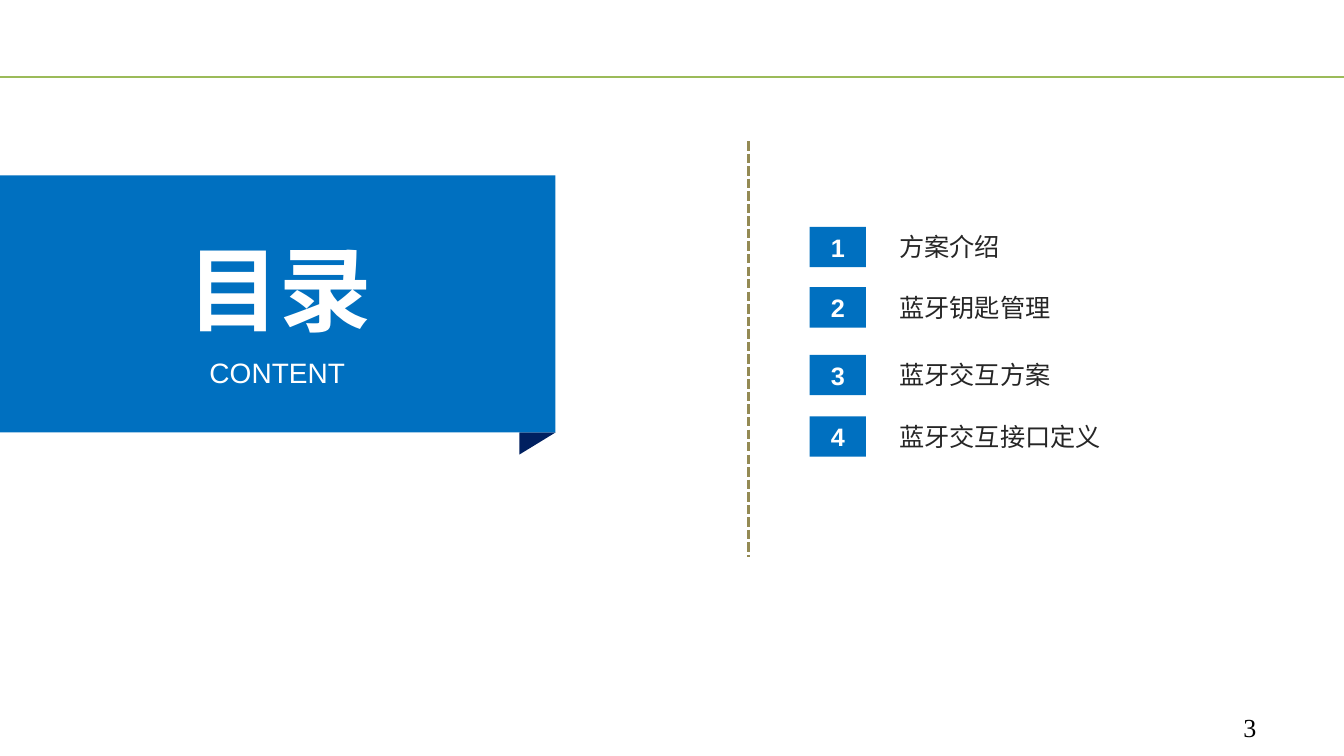
from pptx import Presentation
from pptx.dml.color import RGBColor
from pptx.enum.dml import MSO_LINE
from pptx.enum.shapes import MSO_CONNECTOR, MSO_SHAPE
from pptx.enum.text import MSO_ANCHOR, MSO_AUTO_SIZE, PP_ALIGN
from pptx.oxml.ns import qn
from pptx.util import Inches, Pt

STRAIGHT = MSO_CONNECTOR.STRAIGHT
RECT, TRIANGLE = MSO_SHAPE.RECTANGLE, MSO_SHAPE.RIGHT_TRIANGLE
LEFT, CENTER, RIGHT = PP_ALIGN.LEFT, PP_ALIGN.CENTER, PP_ALIGN.RIGHT
TOP, MIDDLE = MSO_ANCHOR.TOP, MSO_ANCHOR.MIDDLE
COLORS = {"blue": "0070C0", "navy": "002060", "green": "9BBB59", "olive": "948A54",
          "text": "262626", "white": "FFFFFF", "black": "000000"}

prs = Presentation()
prs.slide_width, prs.slide_height = Inches(13.33), Inches(7.5)
s = prs.slides.add_slide(prs.slide_layouts[5])


def write(sp, text, color, size, align=LEFT, anchor=TOP, name="Arial", bold=False):
    tf = sp.text_frame
    frame = {"word_wrap": True, "auto_size": MSO_AUTO_SIZE.NONE, "vertical_anchor": anchor}
    for key, value in frame.items():
        setattr(tf, key, value)
    p = tf.paragraphs[0]
    p.alignment = align
    r = p.add_run()
    r.text = text
    for key, value in {"name": name, "size": Pt(size), "bold": bold}.items():
        setattr(r.font, key, value)
    r.font.color.rgb = RGBColor.from_string(COLORS[color])


def block(kind, box, color):
    sp = s.shapes.add_shape(kind, *map(Inches, box))
    sp.shadow.inherit = False
    sp.fill.solid()
    sp.fill.fore_color.rgb = RGBColor.from_string(COLORS[color])
    sp.line.fill.background()
    return sp


for ends, color, width, dash in [
    ((0, 0.76, 13.33, 0.76), "green", 0.25, None),
    ((0, 0.77, 13.33, 0.77), "green", 0.25, None),
    ((7.42, 1.4, 7.42, 5.53), "olive", 2.25, MSO_LINE.SQUARE_DOT),
]:
    line = s.shapes.add_connector(STRAIGHT, *map(Inches, ends))
    line.line.color.rgb = RGBColor.from_string(COLORS[color])
    line.line.width = Pt(width)
    line.line.dash_style = dash
    sp_pr = line.element.spPr
    sp_pr.append(sp_pr.makeelement(qn("a:effectLst"), {}))

fold = block(TRIANGLE, (5.22, 4.22, 0.22, 0.36), "navy")
fold.rotation = 90
panel = block(RECT, (0, 1.74, 5.51, 2.55), "blue")

title = s.shapes.title
panel.element.addnext(title.element)
title_box = {"left": 1.76, "top": 2.25, "width": 2.17, "height": 1.21}
for key, value in title_box.items():
    setattr(title, key, Inches(value))
write(title, "目录", "white", 66, bold=True)

subtitle = s.shapes.add_textbox(Inches(1.24), Inches(3.48), Inches(3.02), Inches(0.44))
write(subtitle, "CONTENT", "white", 20, CENTER)

agenda = [(2.25, "方案介绍"), (2.85, "蓝牙钥匙管理"),
          (3.52, "蓝牙交互方案"), (4.13, "蓝牙交互接口定义")]
for number, (top, topic) in enumerate(agenda, 1):
    badge = block(RECT, (8.03, top, 0.56, 0.4), "blue")
    write(badge, str(number), "white", 18, CENTER, MIDDLE, bold=True)
    label = s.shapes.add_textbox(Inches(8.82), Inches(top), Inches(4.41), Inches(0.4))
    write(label, topic, "text", 18)

page = s.shapes.add_textbox(Inches(11.81), Inches(6.97), Inches(0.75), Inches(0.48))
write(page, "3", "black", 18.6, RIGHT, MIDDLE, "Times New Roman")

prs.save("out.pptx")
